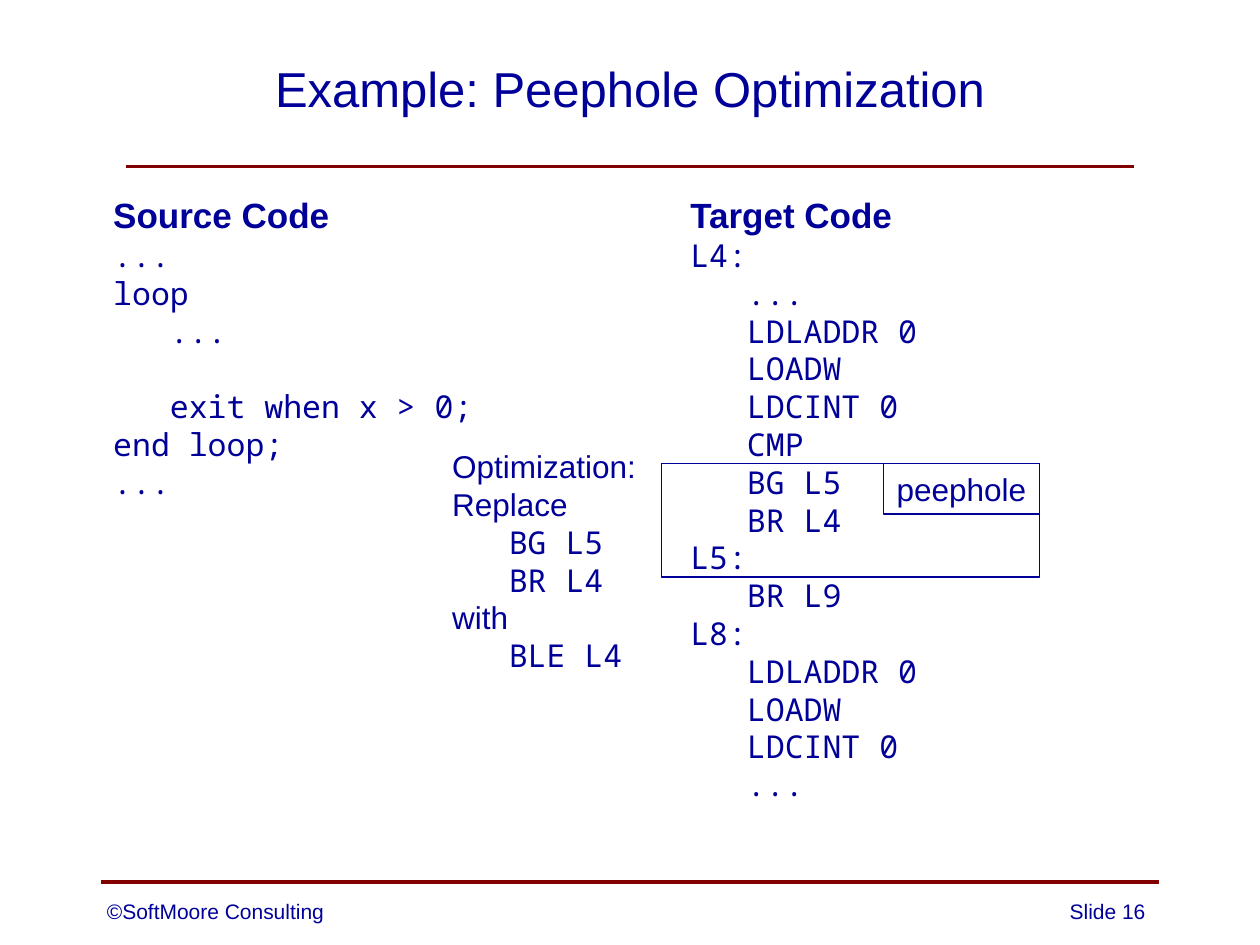
from lxml import etree
from pptx import Presentation
from pptx.dml.color import RGBColor
from pptx.enum import shapes, text
from pptx.oxml import ns
from pptx.util import Emu, Pt

PX = 9144  # 100 px to the inch
NAVY, MAROON = "000099", "800000"
SANS, MONO = "Arial", "Noto Sans Mono"
LEFT, CENTER, RIGHT = (text.PP_ALIGN.LEFT, text.PP_ALIGN.CENTER,
                       text.PP_ALIGN.RIGHT)

SOURCE_CODE = ["...", "loop", "   ...", "   exit when x > 0;", "end loop;", "..."]
TARGET_CODE = [
    "L4:", "   ...", "   LDLADDR 0", "   LOADW", "   LDCINT 0", "   CMP",
    "   BG L5", "   BR L4", "L5:", "   BR L9", "L8:", "   LDLADDR 0",
    "   LOADW", "   LDCINT 0", "   ...",
]
OPTIMIZATION = [
    ("Optimization:", SANS), ("Replace", SANS), ("   BG L5", MONO),
    ("   BR L4", MONO), ("with", SANS), ("   BLE L4", MONO),
]


def px(*lengths):
    return [Emu(length * PX) for length in lengths]


def color(value):
    return RGBColor.from_string(value)


def line(words, size=18, font=SANS, bold=False, align=LEFT, before=0):
    """Describe one paragraph."""
    return dict(words=words, size=size, font=font, bold=bold, align=align,
                before=before)


class Deck:
    def __init__(self, width, height):
        self.presentation = Presentation()
        self.presentation.slide_width, self.presentation.slide_height = px(width, height)
        self.slide = self.presentation.slides.add_slide(
            self.presentation.slide_layouts[6])

    def fill_text(self, shape, lines, wrap=True, anchor=text.MSO_ANCHOR.TOP):
        frame = shape.text_frame
        frame.word_wrap = wrap
        frame.vertical_anchor = anchor
        for index, item in enumerate(lines):
            paragraph = frame.add_paragraph() if index else frame.paragraphs[0]
            paragraph.alignment = item["align"]
            # Fixed pitch keeps both fonts on the same line grid.
            paragraph.line_spacing = Pt(item["size"] * 1.2)
            paragraph.space_before = Pt(item["before"])
            run = paragraph.add_run()
            run.text = item["words"]
            run.font.name = item["font"]
            run.font.size = Pt(item["size"])
            run.font.bold = item["bold"]
            run.font.color.rgb = color(NAVY)

    def text_box(self, box, lines, **layout):
        shape = self.slide.shapes.add_textbox(*px(*box))
        self.fill_text(shape, lines, **layout)

    def frame(self, box, lines=()):
        """Add an unfilled rectangle, with optional centred text."""
        shape = self.slide.shapes.add_shape(
            shapes.MSO_SHAPE.RECTANGLE, *px(*box))
        shape.shadow.inherit = False
        shape.fill.background()
        shape.line.color.rgb = color(NAVY)
        shape.line.width = Pt(0.75)
        if lines:
            self.fill_text(shape, lines, wrap=False)

    def rule(self, left, right, y):
        connector = self.slide.shapes.add_connector(
            shapes.MSO_CONNECTOR.STRAIGHT, *px(left, y, right, y))
        connector.line.color.rgb = color(MAROON)
        connector.line.width = Pt(2)
        etree.SubElement(connector._element.spPr, ns.qn("a:effectLst"))


def code_column(heading, code, gap_before=None):
    """List a heading and code lines, with one line of space before one index."""
    return [line(heading, size=20, bold=True)] + [
        line(words, font=MONO, before=21.6 if index == gap_before else 0)
        for index, words in enumerate(code)]


def main():
    deck = Deck(1000, 750)
    deck.rule(80, 920, 700)
    deck.rule(100, 900, 132)
    deck.text_box((100, 15, 800, 110),
                  [line("Example: Peephole Optimization", size=28, align=CENTER)],
                  anchor=text.MSO_ANCHOR.MIDDLE)
    deck.text_box((80, 149, 411, 540),
                  code_column("Source Code", SOURCE_CODE, gap_before=3))
    deck.text_box((538, 149, 411, 540), code_column("Target Code", TARGET_CODE))
    deck.text_box((75, 708, 300, 30), [line("©SoftMoore Consulting", size=12)])
    deck.text_box((719, 708, 200, 30), [line("Slide 16", size=12, align=RIGHT)])
    deck.frame((525, 368, 300, 90))
    deck.frame((701, 368, 124, 40), [line("peephole", align=CENTER)])
    deck.text_box((349, 350, 167, 192),
                  [line(words, font=font) for words, font in OPTIMIZATION],
                  wrap=False)
    deck.presentation.save("out.pptx")


if __name__ == "__main__":
    main()
